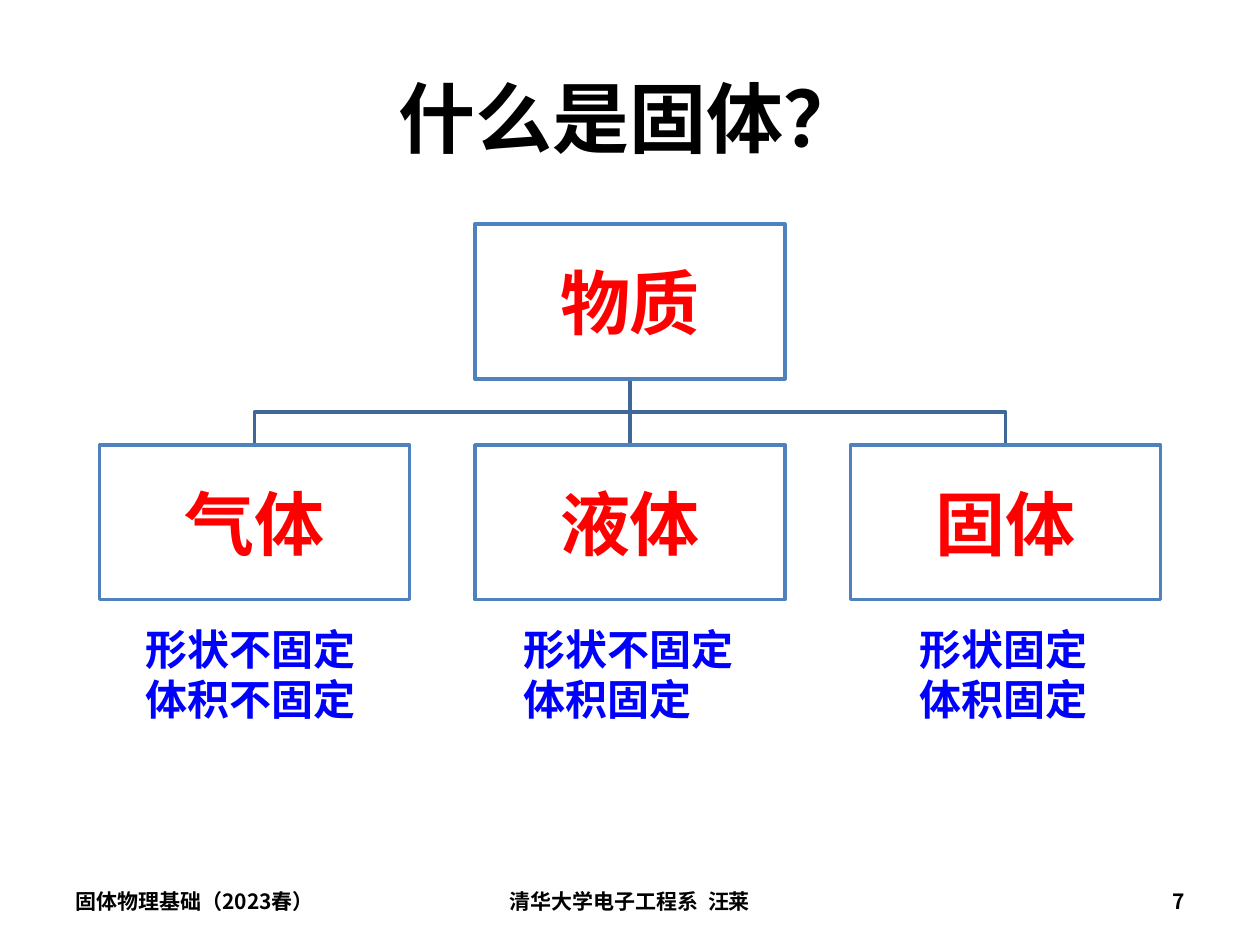
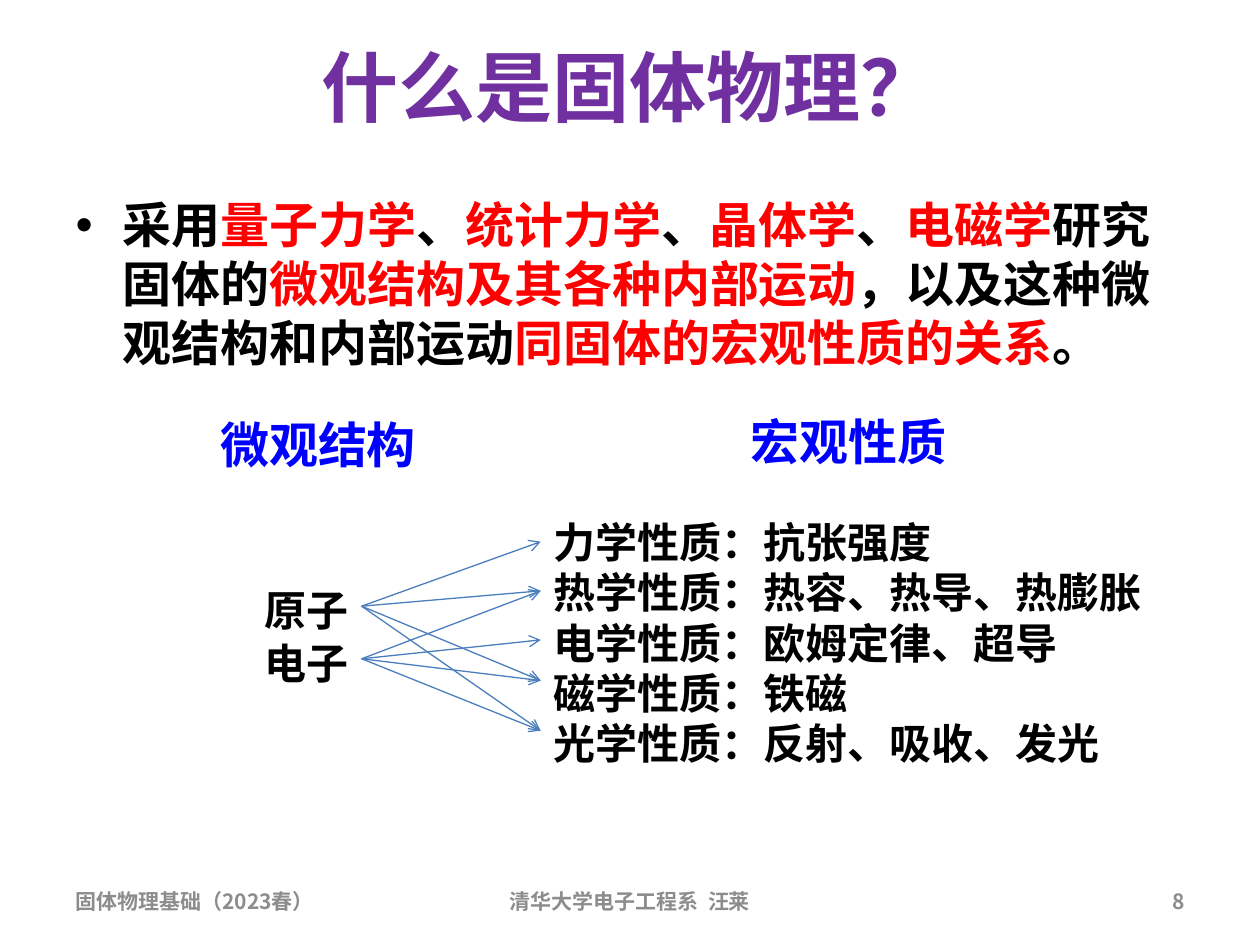
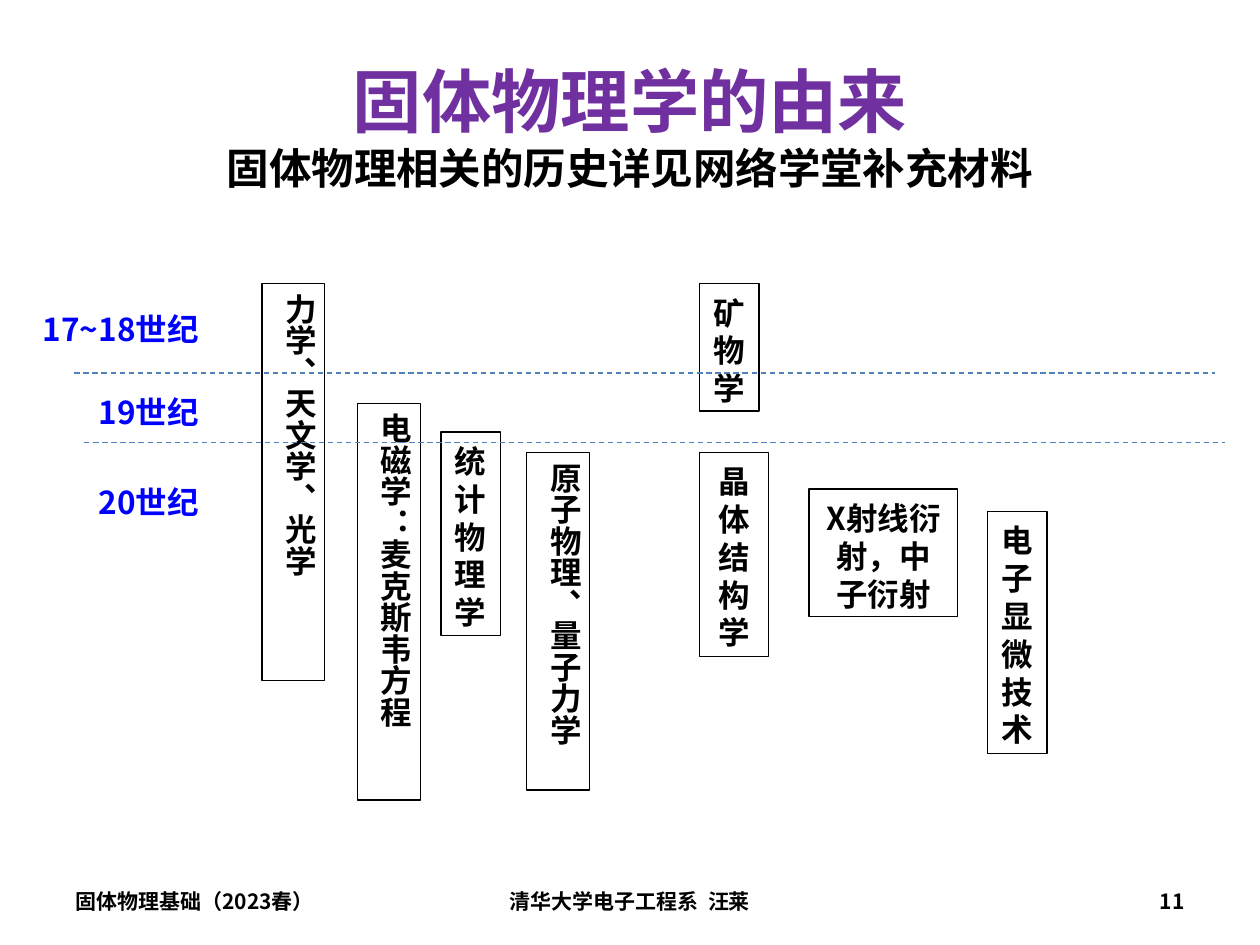
from lxml import etree
from pptx import Presentation
from pptx.dml.color import RGBColor
from pptx.enum.dml import MSO_LINE
from pptx.enum.shapes import MSO_CONNECTOR, MSO_SHAPE
from pptx.enum.text import MSO_ANCHOR, MSO_AUTO_SIZE, PP_ALIGN
from pptx.oxml.ns import qn
from pptx.util import Cm, Pt

LEFT, CENTER, RIGHT = PP_ALIGN.LEFT, PP_ALIGN.CENTER, PP_ALIGN.RIGHT
TOP, MIDDLE = MSO_ANCHOR.TOP, MSO_ANCHOR.MIDDLE
RECTANGLE, STRAIGHT, DASH = MSO_SHAPE.RECTANGLE, MSO_CONNECTOR.STRAIGHT, MSO_LINE.DASH

FONT = "Noto Sans CJK SC"
BLACK, WHITE, GRAY = "000000", "FFFFFF", "8C8C8C"
RED, BLUE, PURPLE = "FF0000", "0000FF", "7030A0"
BOX_BLUE, TREE_BLUE, ARROW_BLUE = "4F81BD", "3F6797", "4B7EBC"
color_of = RGBColor.from_string


def write_text(shape, paragraphs, size=18, color=BLACK, align=LEFT, anchor=TOP,
               spacing=1.2, wrap=True):
    """Each paragraph is a string or a list of (text, color, size) runs."""
    frame = shape.text_frame
    frame.word_wrap = wrap
    frame.auto_size = MSO_AUTO_SIZE.NONE
    frame.vertical_anchor = anchor
    if anchor == TOP:
        frame.margin_top = Cm(0.2)
    for index, runs in enumerate(paragraphs):
        paragraph = frame.add_paragraph() if index else frame.paragraphs[0]
        if isinstance(runs, str):
            runs = [(runs, color, size)]
        paragraph.alignment = align
        paragraph.space_before = Pt(0)
        if spacing:
            paragraph.line_spacing = Pt(round(runs[0][2] * spacing, 1))
        for text, run_color, run_size in runs:
            run = paragraph.add_run()
            run.text = text
            run.font.size = Pt(run_size)
            run.font.bold = True
            run.font.color.rgb = color_of(run_color)
            run.font.name = FONT
            east_asian = etree.SubElement(run.font._element, qn("a:ea"))
            east_asian.set("typeface", FONT)


def draw_line(slide, x1, y1, x2, y2, color, width=0.75, dash=None, arrow=False):
    line = slide.shapes.add_connector(STRAIGHT, Cm(x1), Cm(y1), Cm(x2), Cm(y2))
    line.line.color.rgb = color_of(color)
    line.line.width = Pt(width)
    if dash:
        line.line.dash_style = dash
    if arrow:
        etree.SubElement(line.line._get_or_add_ln(), qn("a:tailEnd")).set("type", "arrow")
    etree.SubElement(line._element.spPr, qn("a:effectLst"))


presentation = Presentation()
presentation.slide_width = Cm(25.4)
presentation.slide_height = Cm(19.05)
CONTENT_LAYOUT, TITLE_LAYOUT = presentation.slide_layouts[1], presentation.slide_layouts[5]

# Titles and footers of all slides
slides = []
for layout, number, footer_color, top, height, title, spacing in [
    (TITLE_LAYOUT, "7", BLACK, 0.76, 3.18, ["什么是固体？"], None),
    (CONTENT_LAYOUT, "8", GRAY, 0.53, 2.39, ["什么是固体物理？"], None),
    (TITLE_LAYOUT, "11", BLACK, 0.94, 3.18,
     [[("固体物理学的由来", PURPLE, 39.6)],
      [("固体物理相关的历史详见网络学堂补充材料", BLACK, 24.3)]], 1.2),
]:
    slide = presentation.slides.add_slide(layout)
    slides.append(slide)
    shape = slide.shapes.title
    shape.left, shape.top, shape.width, shape.height = Cm(1.27), Cm(top), Cm(22.86), Cm(height)
    write_text(shape, title, size=44, color=PURPLE if number == "8" else BLACK,
               align=CENTER, anchor=MIDDLE, spacing=spacing)
    for left, width, align, text in [
        (1.27, 5.93, LEFT, "固体物理基础（2023春）"),
        (8.68, 8.04, CENTER, "清华大学电子工程系  汪莱"),
        (18.2, 5.93, RIGHT, number),
    ]:
        footer = slide.shapes.add_textbox(Cm(left), Cm(17.65), Cm(width), Cm(1.02))
        write_text(footer, [text], size=12, color=footer_color, align=align,
                   anchor=MIDDLE, spacing=None)
matter_slide, physics_slide, history_slide = slides

# Slide 1: tree of the states of matter
BOX_WIDTH, BOX_HEIGHT = 6.25, 3.12
PARENT_TOP, CHILD_TOP = 4.52, 8.97
MIDDLE_X, STEP = 12.7, 7.57
parent_bottom = PARENT_TOP + BOX_HEIGHT
branch_y = (parent_bottom + CHILD_TOP) / 2

for child_x in (MIDDLE_X - STEP, MIDDLE_X + STEP):
    builder = matter_slide.shapes.build_freeform(Cm(MIDDLE_X), Cm(parent_bottom))
    builder.add_line_segments(
        [(Cm(MIDDLE_X), Cm(branch_y)), (Cm(child_x), Cm(branch_y)), (Cm(child_x), Cm(CHILD_TOP))],
        close=False)
    branch = builder.convert_to_shape()
    branch.shadow.inherit = False
    branch.fill.background()
    branch.line.color.rgb = color_of(TREE_BLUE)
    branch.line.width = Pt(2)
draw_line(matter_slide, MIDDLE_X, parent_bottom, MIDDLE_X, CHILD_TOP, TREE_BLUE, width=2)

for text, center, top in [
    ("物质", MIDDLE_X, PARENT_TOP),
    ("气体", MIDDLE_X - STEP, CHILD_TOP),
    ("液体", MIDDLE_X, CHILD_TOP),
    ("固体", MIDDLE_X + STEP, CHILD_TOP),
]:
    box = matter_slide.shapes.add_shape(
        RECTANGLE, Cm(center - BOX_WIDTH / 2), Cm(top), Cm(BOX_WIDTH), Cm(BOX_HEIGHT))
    box.shadow.inherit = False
    box.fill.solid()
    box.fill.fore_color.rgb = color_of(WHITE)
    box.line.color.rgb = color_of(BOX_BLUE)
    box.line.width = Pt(2)
    write_text(box, [text], size=40, color=RED, align=CENTER, anchor=MIDDLE, spacing=None)

for left, width, lines in [
    (2.69, 4.78, ["形状不固定", "体积不固定"]),
    (10.31, 4.78, ["形状不固定", "体积固定"]),
    (18.29, 3.94, ["形状固定", "体积固定"]),
]:
    note = matter_slide.shapes.add_textbox(Cm(left), Cm(12.37), Cm(width), Cm(2.31))
    write_text(note, lines, size=24, color=BLUE, wrap=False)

# Slide 2: definition, with the key words in red
body = physics_slide.placeholders[1]
body.left, body.top, body.width, body.height = Cm(1.27), Cm(3.73), Cm(22.86), Cm(3.99)
definition = [
    "采用", "量子力学", "、", "统计力学", "、", "晶体学", "、", "电磁学", "研究固体的",
    "微观结构及其各种内部运动", "，以及这种微观结构和内部运动", "同固体的宏观性质的关系", "。",
]
write_text(body, [[(text, RED if index % 2 else BLACK, 28)
                   for index, text in enumerate(definition)]])

# Micro structure and macro properties
for left, top, width, height, size, color, lines in [
    (4.19, 8.15, 4.5, 1.45, 28, BLUE, ["微观结构"]),
    (14.88, 8.1, 4.5, 1.45, 28, BLUE, ["宏观性质"]),
    (5.08, 11.58, 2.24, 1.27, 24, BLACK, ["原子"]),
    (5.08, 12.65, 2.24, 1.27, 24, BLACK, ["电子"]),
    (10.9, 10.21, 12.47, 5.38, 24, BLACK,
     ["力学性质：抗张强度", "热学性质：热容、热导、热膨胀", "电学性质：欧姆定律、超导",
      "磁学性质：铁磁", "光学性质：反射、吸收、发光"]),
]:
    label = physics_slide.shapes.add_textbox(Cm(left), Cm(top), Cm(width), Cm(height))
    write_text(label, lines, size=size, color=color, wrap=False)

mechanical, thermal, electric, magnetic, optical = 10.92, 11.91, 12.9, 13.72, 14.73
for particle_y, properties in [
    (12.22, (mechanical, thermal, magnetic, optical)),
    (13.28, (thermal, electric, magnetic, optical)),
]:
    for property_y in properties:
        draw_line(physics_slide, 7.29, particle_y, 10.9, property_y, ARROW_BLUE, arrow=True)

# Slide 3: centuries
for left, top, width, text in [
    (0.43, 6.05, 4.01, "17~18世纪"),
    (1.5, 7.72, 3, "19世纪"),
    (1.5, 9.53, 3, "20世纪"),
]:
    century = history_slide.shapes.add_textbox(Cm(left), Cm(top), Cm(width), Cm(1.02))
    write_text(century, [text], color=BLUE, align=CENTER)

# Fields of study
for left, top, width, height, vertical, text in [
    (5.28, 5.72, 1.27, 8, True, "力学、天文学、光学"),
    (7.21, 8.13, 1.27, 8, True, "电磁学：麦克斯韦方程"),
    (8.89, 8.71, 1.2, 4.11, False, "统计物理学"),
    (10.62, 9.12, 1.27, 6.81, True, "原子物理、量子力学"),
    (14.1, 5.72, 1.2, 2.57, False, "矿物学"),
    (14.1, 9.12, 1.4, 4.11, False, "晶体结构学"),
    (16.31, 9.86, 3, 2.57, False, "X射线衍射，中子衍射"),
    (19.91, 10.31, 1.2, 4.88, False, "电子显微技术"),
]:
    field = history_slide.shapes.add_shape(RECTANGLE, Cm(left), Cm(top), Cm(width), Cm(height))
    field.shadow.inherit = False
    field.fill.background()
    field.line.color.rgb = color_of(BLACK)
    field.line.width = Pt(0.75)
    write_text(field, [text], align=LEFT if vertical else CENTER)
    if vertical:
        field.text_frame._txBody.bodyPr.set("vert", "eaVert")

# Borders between centuries
for left, y in [(1.5, 7.52), (1.7, 8.92)]:
    draw_line(history_slide, left, y, left + 23, y, BOX_BLUE, dash=DASH)

presentation.save("out.pptx")
